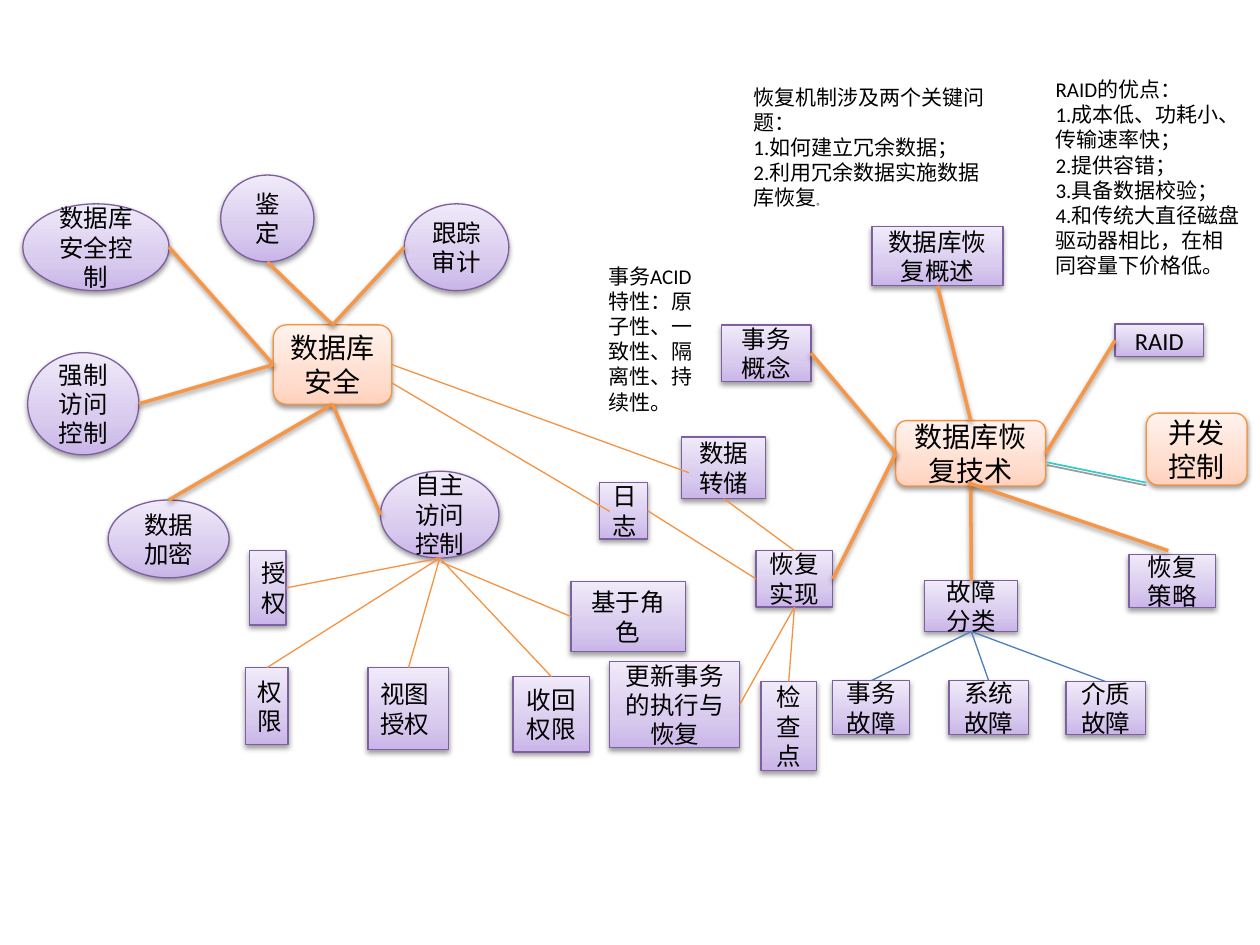
"""Build a mind map of database security and database recovery."""
from typing import NamedTuple, Union

from lxml.etree import SubElement
from pptx import Presentation
from pptx.dml.color import RGBColor as Rgb
from pptx.enum.shapes import MSO_CONNECTOR as Conn, MSO_SHAPE as Kind
from pptx.enum.text import MSO_ANCHOR as Anchor, MSO_AUTO_SIZE as Auto, PP_ALIGN as Align
from pptx.oxml.ns import qn
from pptx.util import Cm, Pt

TOP, LEFT, LOW, RIGHT = range(4)
FONT, INK = "Calibri", "000000"


class Look(NamedTuple):
    kind: Kind
    stops: tuple
    edge: str
    size: int


class Node(NamedTuple):
    text: str
    look: Look
    x: float
    y: float
    w: float
    h: float
    align: Align = Align.CENTER


class Pen(NamedTuple):
    hue: str
    width: float
    blur: Union[float, None] = None


class Spot(NamedTuple):
    x: float
    y: float


class Port(NamedTuple):
    name: str
    side: int


class Link(NamedTuple):
    start: Union[Port, Spot]
    end: Union[Port, Spot]
    pen: Pen


class Note(NamedTuple):
    x: float
    y: float
    w: float
    h: float
    lines: tuple


PEACH = ((0, "FFD2BD"), (35, "FFDED0"), (100, "FFF2ED"))
LILAC = ((0, "C9B5E8"), (35, "D8CBEE"), (100, "F0EAF9"))
CORE = Look(Kind.ROUNDED_RECTANGLE, PEACH, "F69240", 16)
OVAL = Look(Kind.OVAL, LILAC, "7D60A0", 14)
RECT = Look(Kind.RECTANGLE, LILAC, "7D60A0", 14)
BOLD, THIN = Pen("F79646", 2, 3.1), Pen("F69240", 0.75)
BLUE, TEAL = Pen("4B7EBC", 0.75), Pen("33CCCC", 1, 0)

NODES = (
    Node("数据库安全", CORE, 5.51, 6.55, 2.39, 1.6),
    Node("数据库安全控制", OVAL, 0.46, 4.11, 2.95, 1.75),
    Node("自主访问控制", OVAL, 7.67, 9.5, 2.39, 1.75),
    Node("强制访问控制", OVAL, 0.56, 7.11, 2.24, 2.06),
    Node("跟踪审计", OVAL, 8.15, 4.11, 2.11, 1.75),
    Node("数据加密", OVAL, 2.18, 10.08, 2.44, 1.57),
    Node("鉴定", OVAL, 4.45, 3.53, 1.88, 1.75),
    Node("授权", RECT, 5.03, 11.1, 0.74, 1.5),
    Node("权限", RECT, 4.95, 13.46, 0.86, 1.55),
    Node("视图\n授权", RECT, 7.42, 13.46, 1.63, 1.65, Align.LEFT),
    Node("基于角色", RECT, 11.51, 11.73, 2.31, 1.4),
    Node("收回权限", RECT, 10.34, 13.64, 1.55, 1.52),
    Node("数据库恢复技术", CORE, 18.06, 8.48, 3.02, 1.32),
    Node("事务概念", RECT, 14.55, 6.55, 1.8, 1.14),
    Node("数据库恢复概述", RECT, 17.58, 4.57, 2.64, 1.19),
    Node("恢复实现", RECT, 15.24, 11.1, 1.55, 1.14),
    Node("恢复策略", RECT, 22.76, 11.18, 1.75, 1.07),
    Node("RAID", RECT, 22.48, 6.53, 1.78, 0.66),
    Node("日志", RECT, 12.09, 9.73, 0.97, 1.14),
    Node("更新事务的执行与恢复", RECT, 12.29, 13.34, 2.62, 1.73),
    Node("检查点", RECT, 15.34, 13.74, 1.12, 1.8),
    Node("数据转储", RECT, 13.74, 8.81, 1.7, 1.24),
    Node("故障分类", RECT, 18.64, 11.71, 1.88, 1.02),
    Node("事务故障", RECT, 16.79, 13.72, 1.55, 1.09),
    Node("系统故障", RECT, 19.13, 13.72, 1.6, 1.09),
    Node("介质故障", RECT, 21.49, 13.74, 1.6, 1.07),
    Node("并发控制", CORE, 23.11, 8.33, 2.03, 1.45),
)


def fan(hub: str, pen: Pen, *ends: tuple) -> list[Link]:
    """Link a hub to (hub side, name, side) ends."""
    return [Link(Port(hub, near), Port(name, far), pen) for near, name, far in ends]


LINKS = (
    *fan("数据库安全", BOLD, (LEFT, "数据库安全控制", RIGHT), (LEFT, "强制访问控制", RIGHT),
         (LOW, "数据加密", TOP), (TOP, "鉴定", LOW), (LOW, "自主访问控制", LEFT),
         (TOP, "跟踪审计", LEFT)),
    *fan("自主访问控制", THIN, (LOW, "授权", RIGHT), (LOW, "权限", TOP),
         (LOW, "视图\n授权", TOP), (LOW, "收回权限", TOP)),
    Link(Spot(8.89, 11.33), Port("基于角色", LEFT), THIN),
    *fan("数据库恢复技术", BOLD, (LEFT, "事务概念", RIGHT), (LEFT, "恢复实现", RIGHT),
         (TOP, "数据库恢复概述", LOW), (RIGHT, "RAID", LEFT), (LOW, "故障分类", TOP)),
    Link(Spot(23.55, 11.1), Spot(19.51, 9.73), BOLD),
    *fan("恢复实现", THIN, (LEFT, "日志", RIGHT), (TOP, "数据转储", LOW),
         (LOW, "更新事务的执行与恢复", RIGHT), (LOW, "检查点", TOP)),
    *fan("故障分类", BLUE, (LOW, "事务故障", TOP), (LOW, "系统故障", TOP),
         (LOW, "介质故障", TOP)),
    Link(Spot(23.11, 9.73), Spot(21.11, 9.32), TEAL),
    Link(Spot(7.9, 7.72), Spot(12.29, 10.31), THIN),
    Link(Port("数据库安全", RIGHT), Spot(13.89, 9.53), THIN),
)

NOTES = (
    Note(12.01, 5.18, 2.24, 3.33, ((("事务ACID特性：原子性、一致性、隔离性、持续性。", 12),),)),
    Note(14.94, 1.57, 5.31, 2.82, (
        (("恢复机制涉及两个关键问题：", 12),),
        (("1.如何建立冗余数据；", 12),),
        (("2.利用冗余数据实施数据库恢复", 12), ("。", 5)))),
    Note(21.03, 1.42, 4.27, 4.78, (
        (("RAID的优点：", 12),),
        (("1.成本低、功耗小、传输速率快；", 12),),
        (("2.提供容错；", 12),),
        (("3.具备数据校验；", 12),),
        (("4.和传统大直径磁盘驱动器相比，在相同容量下价格低。", 12),))),
)


def paint(part, hue: str) -> None:
    """Set a colour from a hex string."""
    part.rgb = Rgb.from_string(hue)


def shade(item, blur: Union[float, None]) -> None:
    """Give an item a soft lower shadow, or none."""
    box = SubElement(item._element.spPr, qn("a:effectLst"))
    if blur is None:
        return
    drop = SubElement(box, qn("a:outerShdw"), blurRad=str(Pt(blur)), dist=str(Pt(1.6)),
                      dir="5400000", rotWithShape="0")
    tint = SubElement(drop, qn("a:srgbClr"), val=INK)
    SubElement(tint, qn("a:alpha"), val="38000")


def blend(shape, stops: tuple) -> None:
    """Fill a shape with an upward gradient."""
    shape.fill.gradient()
    shape.fill.gradient_angle = 90
    rack = shape._element.spPr.find(".//" + qn("a:gsLst"))
    rack.clear()
    for pos, hue in stops:
        stop = SubElement(rack, qn("a:gs"), pos=str(pos * 1000))
        SubElement(stop, qn("a:srgbClr"), val=hue)


def write(frame, lines: tuple, align: Align) -> None:
    """Write paragraphs of (text, size) runs."""
    frame.word_wrap = True
    for i, line in enumerate(lines):
        para = frame.add_paragraph() if i else frame.paragraphs[0]
        para.alignment = align
        for text, size in line:
            run = para.add_run()
            run.text = text
            run.font.name, run.font.size = FONT, Pt(size)
            paint(run.font.color, INK)


def draw_node(shapes, node: Node):
    """Draw one labelled node."""
    look = node.look
    shape = shapes.add_shape(look.kind, Cm(node.x), Cm(node.y), Cm(node.w), Cm(node.h))
    blend(shape, look.stops)
    paint(shape.line.color, look.edge)
    shape.line.width = Pt(0.75)
    shade(shape, 3.1)
    shape.text_frame.vertical_anchor = Anchor.MIDDLE
    write(shape.text_frame, [((t, look.size),) for t in node.text.split("\n")], node.align)
    return shape


def place(end: Union[Port, Spot], made: dict) -> tuple:
    """Find the point of a link's end."""
    if isinstance(end, Spot):
        return Cm(end.x), Cm(end.y)
    box = made[end.name]
    dx, dy = ((0.5, 0), (0, 0.5), (0.5, 1), (1, 0.5))[end.side]
    return int(box.left + dx * box.width), int(box.top + dy * box.height)


def draw_link(shapes, link: Link, made: dict) -> None:
    """Draw one line and join it to its rectangles."""
    line = shapes.add_connector(Conn.STRAIGHT, *place(link.start, made), *place(link.end, made))
    for end, join in ((link.start, line.begin_connect), (link.end, line.end_connect)):
        if isinstance(end, Port) and made[end.name].auto_shape_type != Kind.OVAL:
            join(made[end.name], end.side)
    paint(line.line.color, link.pen.hue)
    line.line.width = Pt(link.pen.width)
    shade(line, link.pen.blur)


def draw_note(shapes, note: Note) -> None:
    """Draw one free text block."""
    box = shapes.add_textbox(Cm(note.x), Cm(note.y), Cm(note.w), Cm(note.h))
    write(box.text_frame, note.lines, Align.LEFT)
    box.text_frame.auto_size = Auto.SHAPE_TO_FIT_TEXT


def main() -> None:
    """Build and save the slide."""
    deck = Presentation()
    deck.slide_width, deck.slide_height = Cm(25.4), Cm(19.05)
    shapes = deck.slides.add_slide(deck.slide_layouts[6]).shapes
    made = {node.text: draw_node(shapes, node) for node in NODES}
    for note in NOTES:
        draw_note(shapes, note)
    for link in LINKS:
        draw_link(shapes, link, made)
    deck.save("out.pptx")


if __name__ == "__main__":
    main()
